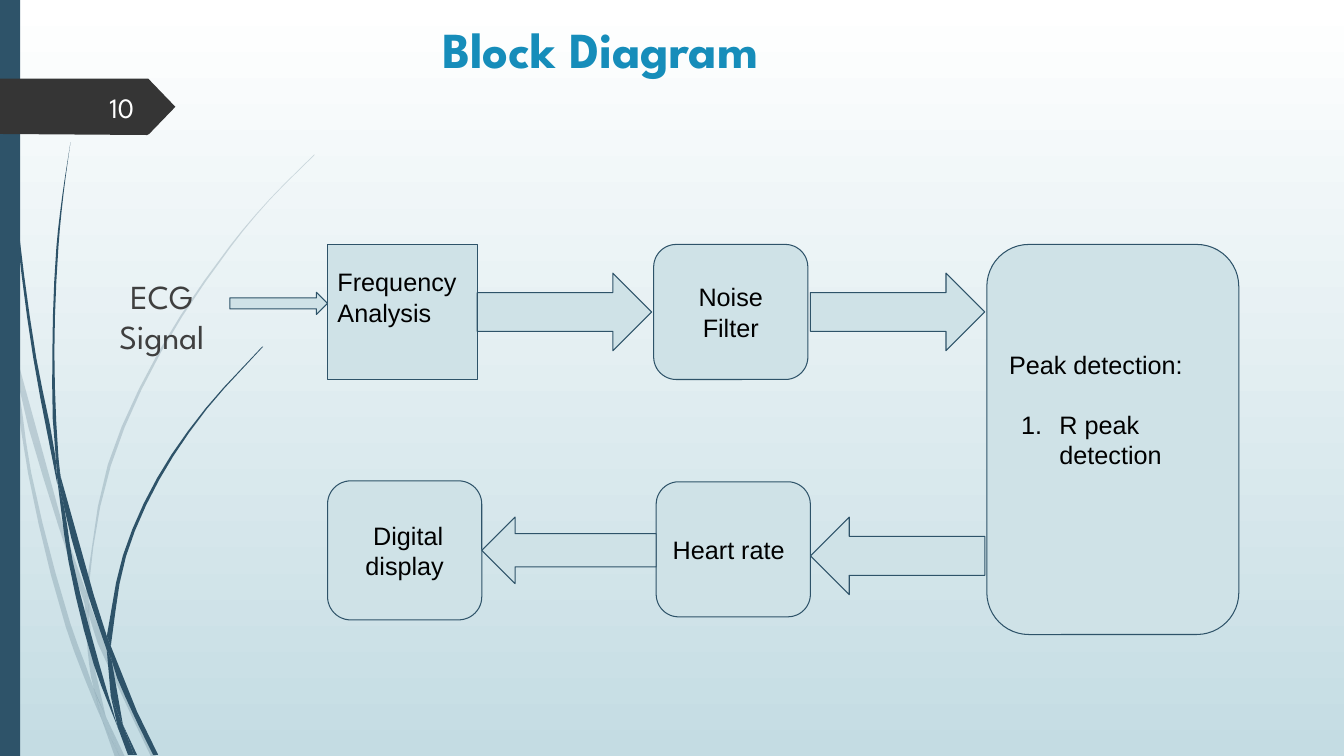
from dataclasses import dataclass
from typing import NamedTuple, Optional

from pptx import Presentation
from pptx import util as u
from pptx.dml.color import RGBColor
from pptx.enum import shapes, text
from pptx.oxml.ns import qn

CELL = 0.1
COLS, ROWS = 133.33, 75

NAVY = RGBColor(0x2E, 0x53, 0x69)
PALE = RGBColor(0xCF, 0xE2, 0xE7)
SKY = RGBColor(0xC4, 0xDC, 0xE3)
WHITE = RGBColor(0xFF, 0xFF, 0xFF)
BLUE = RGBColor(0x16, 0x8D, 0xBA)
CHARCOAL = RGBColor(0x35, 0x35, 0x35)
GREY = RGBColor(0x3F, 0x3F, 0x3F)
BLACK = RGBColor(0, 0, 0)

LEFT, CENTER, RIGHT = text.PP_ALIGN.LEFT, text.PP_ALIGN.CENTER, text.PP_ALIGN.RIGHT
ARROW_RIGHT, ARROW_LEFT = shapes.MSO_SHAPE.RIGHT_ARROW, shapes.MSO_SHAPE.LEFT_ARROW
Point = tuple[float, float]
Box = tuple[float, float, float, float]


class Strand(NamedTuple):
    left: list[Point]
    right: list[Point]


class Arrow(NamedTuple):
    at: Box
    kind: shapes.MSO_SHAPE = ARROW_RIGHT


@dataclass
class Block:
    at: Box
    lines: list[str]
    align: text.PP_ALIGN = CENTER
    corner: float = 0.167
    bottom: float = 1


@dataclass
class Label:
    at: Box
    lines: list[str]
    size: int
    color: RGBColor
    align: text.PP_ALIGN = LEFT
    anchor: text.MSO_ANCHOR = text.MSO_ANCHOR.TOP
    bold: bool = False
    indent: float = 0
    pitch: Optional[float] = None


PALE_STRANDS = [
    Strand([(0, 28.2), (0, 29.9), (1, 34.4), (1.1, 35)], [(0, 28.2), (0.9, 32.2), (1.1, 35)]),
    Strand([(1.4, 34.5), (1.7, 37.6), (5.8, 52.2), (8.4, 59.9)], [(1.4, 34.5), (6.2, 52), (8.5, 58.6)]),
    Strand([(8.8, 59.6), (8.8, 61), (12.3, 69.4), (15, 75.1)], [(8.8, 59.6), (9.2, 60.7), (12.7, 69.2), (15.5, 75.1)]),
    Strand([(10.5, 71.1), (11.9, 75.1)], [(10.5, 71.1), (12.4, 75.1)]),
    Strand([(1.1, 35), (2.8, 47), (6.5, 62.1), (9.2, 69.3), (10.1, 71.4)],
           [(1.1, 35), (1.7, 37.6), (3.1, 46.9), (7, 61.9), (9.3, 68.3), (10.1, 71.4)]),
    Strand([(8.4, 59.9), (8.7, 64.6), (9.3, 68.3), (10.5, 71.1)], [(8.4, 59.9), (8.8, 61), (9.1, 64.6), (10.5, 71.1)]),
    Strand([(31.2, 15.3), (26.8, 19.7), (22.8, 24.4), (15.8, 34.8), (10.7, 46.1), (8.5, 58.6)],
           [(31.2, 15.4), (26.8, 19.8), (22.9, 24.5), (16, 34.9), (11, 46.2), (8.8, 58.4), (8.8, 59.6)]),
    Strand([(10.1, 71.4), (11.4, 75.1)], [(10.1, 71.4), (11.9, 75.1)]),
    Strand([(8.5, 58.6), (8.4, 59.9)], [(8.8, 59.6), (8.8, 61)]),
    Strand([(9.3, 68.3), (10.1, 71.4), (11.9, 75.1)], [(9.3, 68.3), (10.5, 71.1), (11.9, 75.1)]),
]
DARK_STRANDS = [
    Strand([(0.3, 0), (0.7, 11), (1.7, 23.3), (3.3, 35.5), (5.7, 48.1)],
           [(0.4, 0), (0.8, 10.9), (1.9, 23.2), (3.6, 35.5), (5.5, 45.3), (5.7, 48.1)]),
    Strand([(6, 47.2), (6.4, 50.5), (8.8, 59.2), (10.6, 64.5)], [(6, 47.2), (9.3, 59), (10.6, 63.1)]),
    Strand([(11, 64.1), (11.1, 65.6), (13.2, 70.8), (15.2, 74.9)], [(11, 64.1), (13.6, 70.6), (15.7, 74.9)]),
    Strand([(5.7, 47.7), (6.8, 55.7), (9.3, 65.9), (11.7, 72.2)],
           [(5.7, 47.7), (6.4, 50.5), (7.2, 55.6), (9.8, 65.7), (11.7, 72.2)]),
    Strand([(7, 14.1), (6.2, 19.3), (5.6, 24.5), (5.2, 34.9), (5.5, 44.9), (6, 47.2)],
           [(7, 14.1), (6.3, 19.3), (5.8, 24.5), (5.4, 34.9), (5.8, 45.3), (6, 47.2)]),
    Strand([(12.2, 71.9), (13.3, 74.9)], [(12.2, 71.9), (13.6, 74.9)]),
    Strand([(5.5, 44.9), (5.7, 47.7), (6.4, 50.5)], [(5.5, 44.9), (6, 47.2), (6.4, 50.5)]),
    Strand([(26, 34.4), (20.4, 40.5), (15.6, 47.4), (12.2, 55.1), (10.6, 63.1)],
           [(26.1, 34.4), (20.5, 40.6), (15.8, 47.6), (12.5, 55.2), (11.1, 63.3), (11, 64.1)]),
    Strand([(11.7, 72.2), (12.7, 74.9)], [(11.7, 72.2), (13.1, 74.9)]),
    Strand([(10.6, 64.5), (11, 69.1), (12.2, 71.9)], [(10.6, 64.5), (11.1, 65.6), (12.2, 71.9)]),
    Strand([(10.6, 63.1), (10.6, 64.5)], [(11, 64.1), (11.1, 65.6)]),
    Strand([(11, 69.1), (11.7, 72.2), (13, 74.9)], [(11, 69.1), (12.2, 71.9), (13.3, 74.9)]),
]
PAGE_TAG = [(0, 7.8), (14.7, 7.8), (14.8, 7.9), (17.4, 10.6), (14.8, 13.3), (14.6, 13.4), (0, 13.3)]
LABELS = [
    Label((5.8, 1.3, 97.5, 7.3), ["Block Diagram"], 36, BLUE, bold=True, indent=37.1),
    Label((7.5, 27, 17.1, 9), ["ECG", "Signal"], 24, GREY, CENTER, pitch=28.2),
    Label((5.8, 8.6, 8.5, 4), ["10"], 20, WHITE, RIGHT, text.MSO_ANCHOR.MIDDLE),
]
BLOCKS = [
    Block((32.5, 24.25, 14.85, 13.4), ["Frequency Analysis"], LEFT, 0, 4),
    Block((64.85, 24.25, 15.3, 13.4), ["Noise Filter"]),
    Block((32.5, 47.7, 15.3, 13.8), [" Digital display"]),
    Block((65.1, 47.8, 15.3, 13.4), ["Heart rate"], LEFT),
    Block((97.9, 24.25, 25, 38.7), ["Peak detection:", "R peak detection"], LEFT, bottom=6.9),
]
ARROWS = [
    Arrow((47.35, 27.1, 17.3, 7.7)),
    Arrow((22.8, 29, 9.7, 2.2)),
    Arrow((80.4, 27.1, 17.3, 7.7)),
    Arrow((47.8, 51.3, 17.3, 6.6), ARROW_LEFT),
    Arrow((80.4, 51.3, 17.3, 7.7), ARROW_LEFT),
]


def grid(n: float) -> int:
    return u.Inches(n * CELL)


def smooth(pts: list[Point], steps: int = 3) -> list[Point]:
    if len(pts) < 4:
        return pts
    ext = [pts[0], *pts, pts[-1]]
    out = []
    for a, b, c, d in zip(ext, ext[1:], ext[2:], ext[3:]):
        for t in (i / steps for i in range(steps)):
            y = b[1] + (c[1] - b[1]) * t
            before = (b[0] - a[0]) / ((b[1] - a[1]) or 1)
            chord = (c[0] - b[0]) / ((c[1] - b[1]) or 1)
            after = (d[0] - c[0]) / ((d[1] - c[1]) or 1)
            enter = (before + chord) / 2 if a != b else chord
            leave = (chord + after) / 2 if c != d else chord
            bend = (enter - chord) * (1 - t) - (leave - chord) * t
            out.append((b[0] + (y - b[1]) * chord + (c[1] - b[1]) * t * (1 - t) * bend, y))
    return out + [pts[-1]]


def paint(sp, fill: RGBColor, line: Optional[RGBColor] = None) -> None:
    sp.shadow.inherit = False
    sp.fill.solid()
    sp.fill.fore_color.rgb = fill
    if line is None:
        sp.line.fill.background()
    else:
        sp.line.color.rgb = line
        sp.line.width = u.Pt(0.75)


def add_outline(s, pts: list[Point], fill: RGBColor, alpha: int = 100) -> None:
    start, *rest = [(grid(x), grid(y)) for x, y in pts]
    fb = s.shapes.build_freeform(*start)
    fb.add_line_segments(rest, close=True)
    sp = fb.convert_to_shape()
    paint(sp, fill)
    if alpha < 100:
        clr = sp._element.spPr.find(qn("a:solidFill"))[0]
        clr.append(clr.makeelement(qn("a:alpha"), {"val": str(alpha * 1000)}))


def write(tf, lines: list[str], font: str, size: int, color: RGBColor, align: text.PP_ALIGN) -> None:
    tf.word_wrap = True
    for i, line in enumerate(lines):
        p = tf.add_paragraph() if i else tf.paragraphs[0]
        p.text, p.alignment = line, align
        p.font.name, p.font.size, p.font.color.rgb = font, u.Pt(size), color


def add_label(s, label: Label) -> None:
    tf = s.shapes.add_textbox(*map(grid, label.at)).text_frame
    tf.vertical_anchor = label.anchor
    write(tf, label.lines, "League Spartan", label.size, label.color, label.align)
    for p in tf.paragraphs:
        p.font.bold = label.bold
        p._p.get_or_add_pPr().set("marL", str(grid(label.indent)))
        if label.pitch:
            p.line_spacing = u.Pt(label.pitch)


def add_block(s, block: Block) -> None:
    sp = s.shapes.add_shape(shapes.MSO_SHAPE.ROUNDED_RECTANGLE, *map(grid, block.at))
    sp.adjustments[0] = block.corner
    paint(sp, PALE, NAVY)
    tf = sp.text_frame
    tf.vertical_anchor = text.MSO_ANCHOR.MIDDLE
    tf.margin_left = tf.margin_right = tf.margin_top = grid(1)
    tf.margin_bottom = grid(block.bottom)
    write(tf, block.lines, "Arial", 18, BLACK, block.align)
    for p in tf.paragraphs[1:]:
        p.space_before = u.Pt(21)
        pPr = p._p.get_or_add_pPr()
        pPr.set("marL", str(grid(5)))
        pPr.set("indent", str(grid(-3.8)))
        pPr.find(qn("a:defRPr")).addprevious(pPr.makeelement(qn("a:buAutoNum"), {"type": "arabicPeriod"}))


def main() -> None:
    prs = Presentation()
    prs.slide_width, prs.slide_height = grid(COLS), grid(ROWS)
    s = prs.slides.add_slide(prs.slide_layouts[6])
    bg = s.background.fill
    bg.gradient()
    bg.gradient_angle = 270
    for stop, color in zip(bg.gradient_stops, (WHITE, SKY)):
        stop.color.rgb = color
    for strands, alpha in ((PALE_STRANDS, 20), (DARK_STRANDS, 100)):
        for strand in strands:
            add_outline(s, smooth(strand.left) + smooth(strand.right)[::-1], NAVY, alpha)
    paint(s.shapes.add_shape(shapes.MSO_SHAPE.RECTANGLE, 0, 0, grid(2), grid(ROWS)), NAVY)
    add_outline(s, PAGE_TAG, CHARCOAL)
    for label in LABELS:
        add_label(s, label)
    for block in BLOCKS:
        add_block(s, block)
    for arrow in ARROWS:
        paint(s.shapes.add_shape(arrow.kind, *map(grid, arrow.at)), PALE, NAVY)
    prs.save("out.pptx")


if __name__ == "__main__":
    main()
